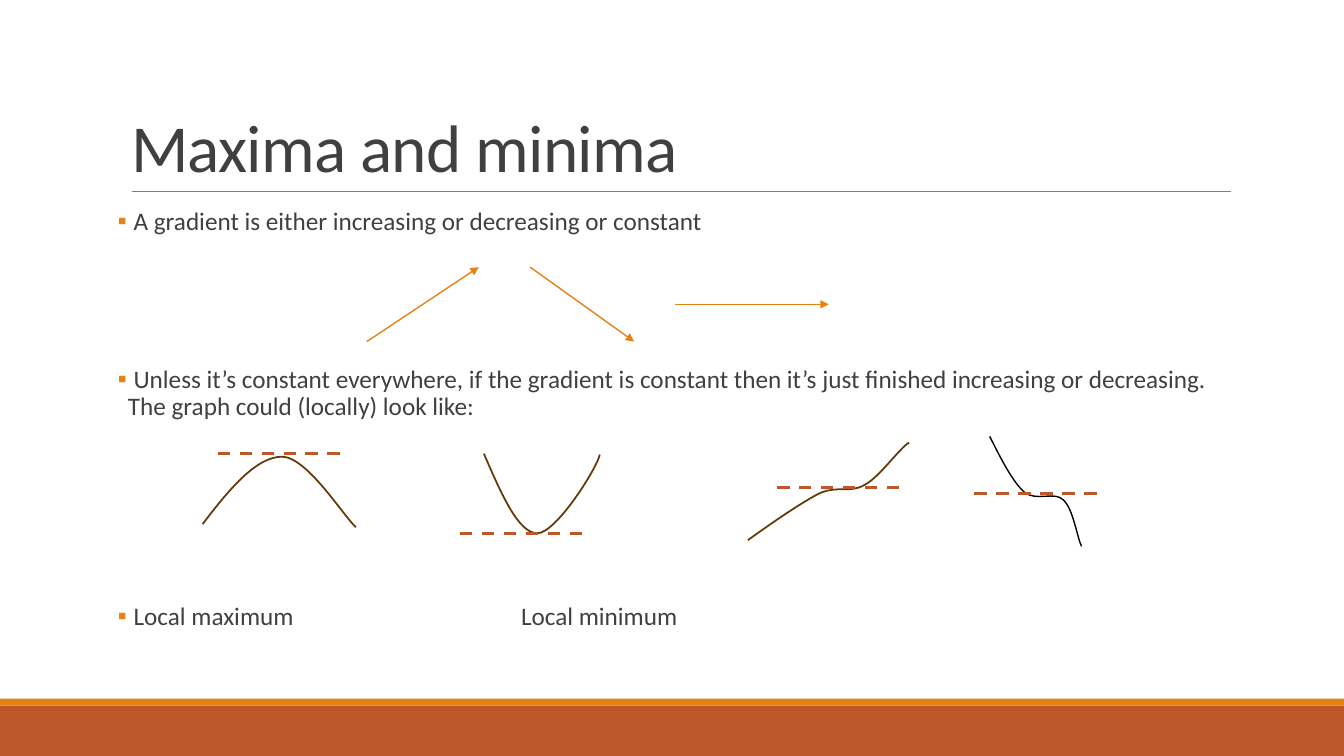
from dataclasses import dataclass
from typing import Any

from lxml.etree import SubElement
from pptx import Presentation
from pptx.dml.color import RGBColor
from pptx.enum.dml import MSO_LINE
from pptx.enum.shapes import MSO_CONNECTOR, MSO_SHAPE
from pptx.enum.text import MSO_ANCHOR, MSO_AUTO_SIZE, PP_ALIGN
from pptx.oxml.ns import qn
from pptx.util import Pt

ORANGE = RGBColor(0xE4, 0x83, 0x12)
RUST = RGBColor(0xBD, 0x58, 0x2C)
BROWN = RGBColor(0x64, 0x39, 0x08)
BLACK = RGBColor(0, 0, 0)
GRAY = RGBColor(0x80, 0x80, 0x80)
DARK = RGBColor(0x40, 0x40, 0x40)
FONT = "Calibri"

Point = tuple[float, float]


@dataclass(frozen=True)
class Bar:
    top: float
    height: float
    color: RGBColor


@dataclass(frozen=True)
class Line:
    start: Point
    end: Point
    color: RGBColor
    width: float
    dashed: bool = False
    arrow: bool = False


@dataclass(frozen=True)
class Curve:
    points: list[Point]
    color: RGBColor = BROWN
    width: float = 1.25


@dataclass(frozen=True)
class Bullet:
    text: str
    before: float
    tab: float | None = None


BARS = [Bar(504, 36, RUST), Bar(499, 5, ORANGE)]
RULE = Line((94.3, 136.8), (879, 136.8), GRAY, 0.5)
ARROWS = [
    Line(start, end, ORANGE, 1, arrow=True)
    for start, end in [
        ((262, 244), (342, 190.8)),
        ((378.7, 190.8), (453, 244)),
        ((482.4, 217.4), (592, 217.4)),
    ]
]
TANGENTS = [
    Line((x, y), (x + 87.5, y), RUST, 2.25, dashed=True)
    for x, y in [(155.5, 324), (328.5, 380.9), (555, 348), (696, 352.6)]
]
CURVES = [
    Curve([(144.7, 374.4), (163.4, 349.9), (182.9, 326.2), (201.6, 326.2),
           (219.6, 326.9), (244.8, 367.9), (254.2, 376.6)]),
    Curve([(345.6, 324), (357.8, 352.1), (370.1, 380.9), (383.8, 380.9),
           (397.4, 380.9), (427, 333.4), (428.4, 324.7)]),
    Curve([(534.2, 385.9), (552.2, 373), (571, 360), (584.6, 352.8),
           (598.3, 346.3), (607, 352.8), (617.8, 346.3),
           (628.6, 340.6), (642.2, 320.4), (649.4, 316.1)]),
    Curve([(707, 311.8), (715, 327.6), (722.9, 343.4), (731.5, 351.4),
           (740.2, 358.6), (753.1, 350.6), (759.6, 357.1),
           (766.8, 363.6), (769.7, 385.2), (772.6, 390.2)], BLACK, 1),
]
BULLETS = [
    Bullet(" A gradient is either increasing or decreasing or constant", 12),
    Bullet(" Unless it’s constant everywhere, if the gradient is constant then "
           "it’s just finished increasing or decreasing. "
           "The graph could (locally) look like:", 91.5),
    Bullet(" Local maximum\tLocal minimum", 128.5, tab=288),
]


def add_text(p: Any, text: str, *, size: float, spacing: float, tracking: float = 0) -> None:
    """Add a formatted run to a left-aligned paragraph."""
    p.alignment = PP_ALIGN.LEFT
    p.line_spacing = spacing
    r = p.add_run()
    r.text = text
    r.font.name = FONT
    r.font.size = Pt(size)
    r.font.color.rgb = DARK
    if tracking:
        r.font._element.set("spc", str(round(tracking * 100)))


def add_bar(s: Any, bar: Bar) -> None:
    """Draw a full-width band at the foot of the slide."""
    sp = s.shapes.add_shape(MSO_SHAPE.RECTANGLE, 0, Pt(bar.top), Pt(960), Pt(bar.height))
    sp.shadow.inherit = False
    sp.fill.solid()
    sp.fill.fore_color.rgb = bar.color
    sp.line.fill.background()


def add_line(s: Any, line: Line) -> None:
    """Draw a straight line, optionally dashed or with an arrowhead."""
    sp = s.shapes.add_connector(MSO_CONNECTOR.STRAIGHT, *map(Pt, line.start + line.end))
    sp.line.color.rgb = line.color
    sp.line.width = Pt(line.width)
    if line.dashed:
        sp.line.dash_style = MSO_LINE.DASH
    if line.arrow:
        SubElement(sp.line._get_or_add_ln(), qn("a:tailEnd"), type="triangle")
    SubElement(sp._element.spPr, qn("a:effectLst"))


def add_curve(s: Any, curve: Curve) -> None:
    """Draw an open chain of cubic Bézier segments."""
    points = [(Pt(x), Pt(y)) for x, y in curve.points]
    builder = s.shapes.build_freeform(*points[0], scale=1.0)
    builder.add_line_segments(points[1:], close=False)
    sp = builder.convert_to_shape()
    sp.shadow.inherit = False
    sp.fill.background()
    sp.line.color.rgb = curve.color
    sp.line.width = Pt(curve.width)
    outline = next(sp._element.iter(qn("a:path")))
    steps = outline.findall(qn("a:lnTo"))
    for i in range(0, len(steps), 3):
        segment = SubElement(outline, qn("a:cubicBezTo"))
        for step in steps[i:i + 3]:
            segment.append(step[0])
            outline.remove(step)


def add_title(s: Any, text: str) -> None:
    """Place and format the title placeholder."""
    sp = s.shapes.title
    sp.left, sp.top, sp.width, sp.height = map(Pt, (86.4, 22.3, 792, 114.5))
    tf = sp.text_frame
    tf.vertical_anchor = MSO_ANCHOR.BOTTOM
    tf.auto_size = MSO_AUTO_SIZE.NONE
    add_text(tf.paragraphs[0], text, size=48, spacing=0.85, tracking=-0.5)


def add_bullets(s: Any, bullets: list[Bullet]) -> None:
    """Write the bulleted text with room for the sketches between items."""
    tf = s.shapes.add_textbox(*map(Pt, (84.2, 145.4, 792, 389.5))).text_frame
    tf.word_wrap = True
    tf.margin_left = tf.margin_right = 0
    for i, bullet in enumerate(bullets):
        p = tf.add_paragraph() if i else tf.paragraphs[0]
        add_text(p, bullet.text, size=18, spacing=0.9)
        p.space_before, p.space_after = Pt(bullet.before), Pt(2)
        pPr = p._p.get_or_add_pPr()
        pPr.set("marL", str(Pt(7.2)))
        pPr.set("indent", str(Pt(-7.2)))
        SubElement(SubElement(pPr, qn("a:buClr")), qn("a:srgbClr"), val=str(ORANGE))
        SubElement(pPr, qn("a:buFont"), typeface=FONT)
        SubElement(pPr, qn("a:buChar"), char="▪")
        if bullet.tab is not None:
            tabs = SubElement(pPr, qn("a:tabLst"))
            SubElement(tabs, qn("a:tab"), pos=str(Pt(bullet.tab)), algn="l")


def main() -> None:
    """Build the slide and save it."""
    prs = Presentation()
    prs.slide_width, prs.slide_height = Pt(960), Pt(540)
    s = prs.slides.add_slide(prs.slide_layouts[5])
    for bar in BARS:
        add_bar(s, bar)
    add_title(s, "Maxima and minima")
    add_bullets(s, BULLETS)
    for line in [RULE, *ARROWS]:
        add_line(s, line)
    for curve in CURVES:
        add_curve(s, curve)
    for line in TANGENTS:
        add_line(s, line)
    prs.save("out.pptx")


if __name__ == "__main__":
    main()
